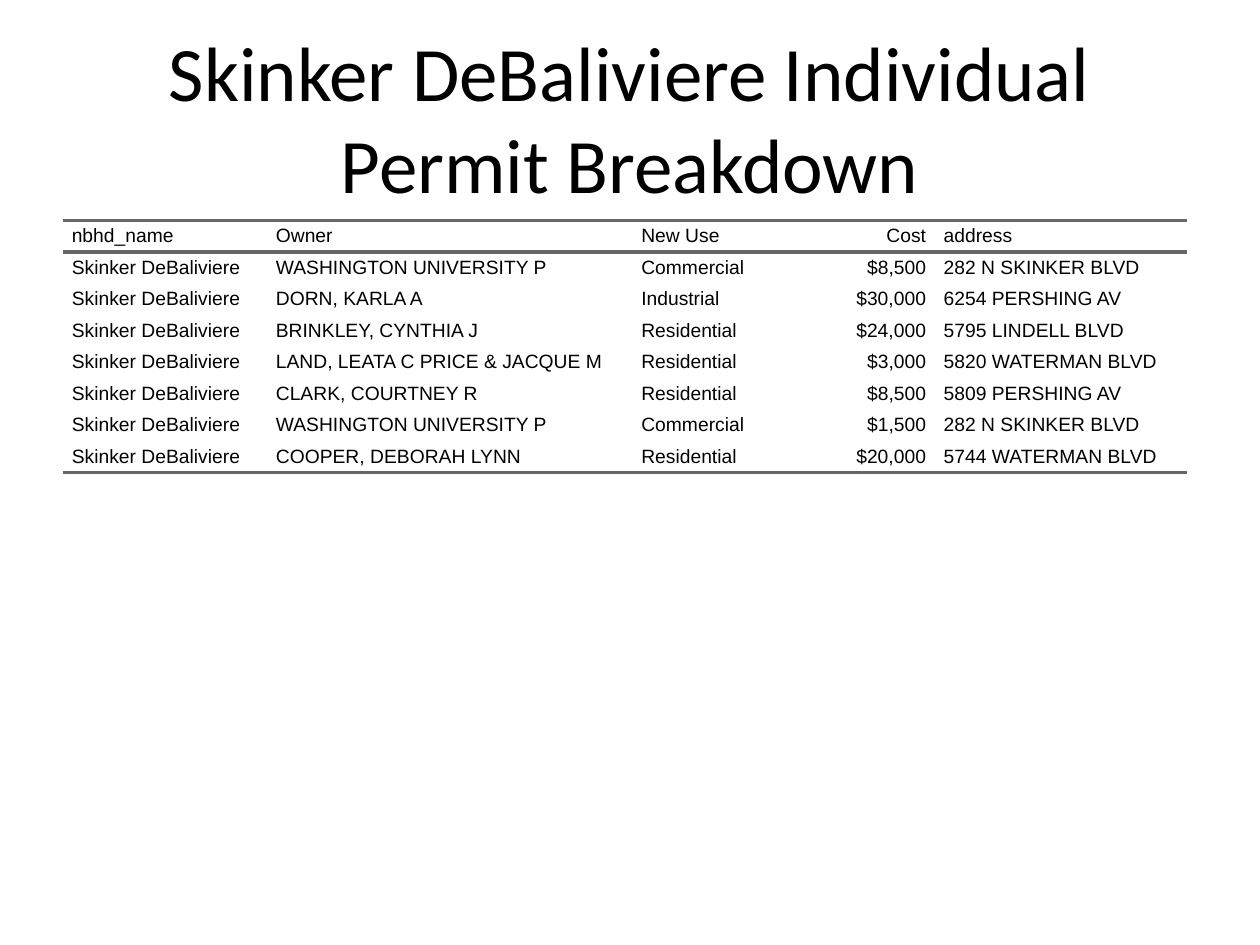
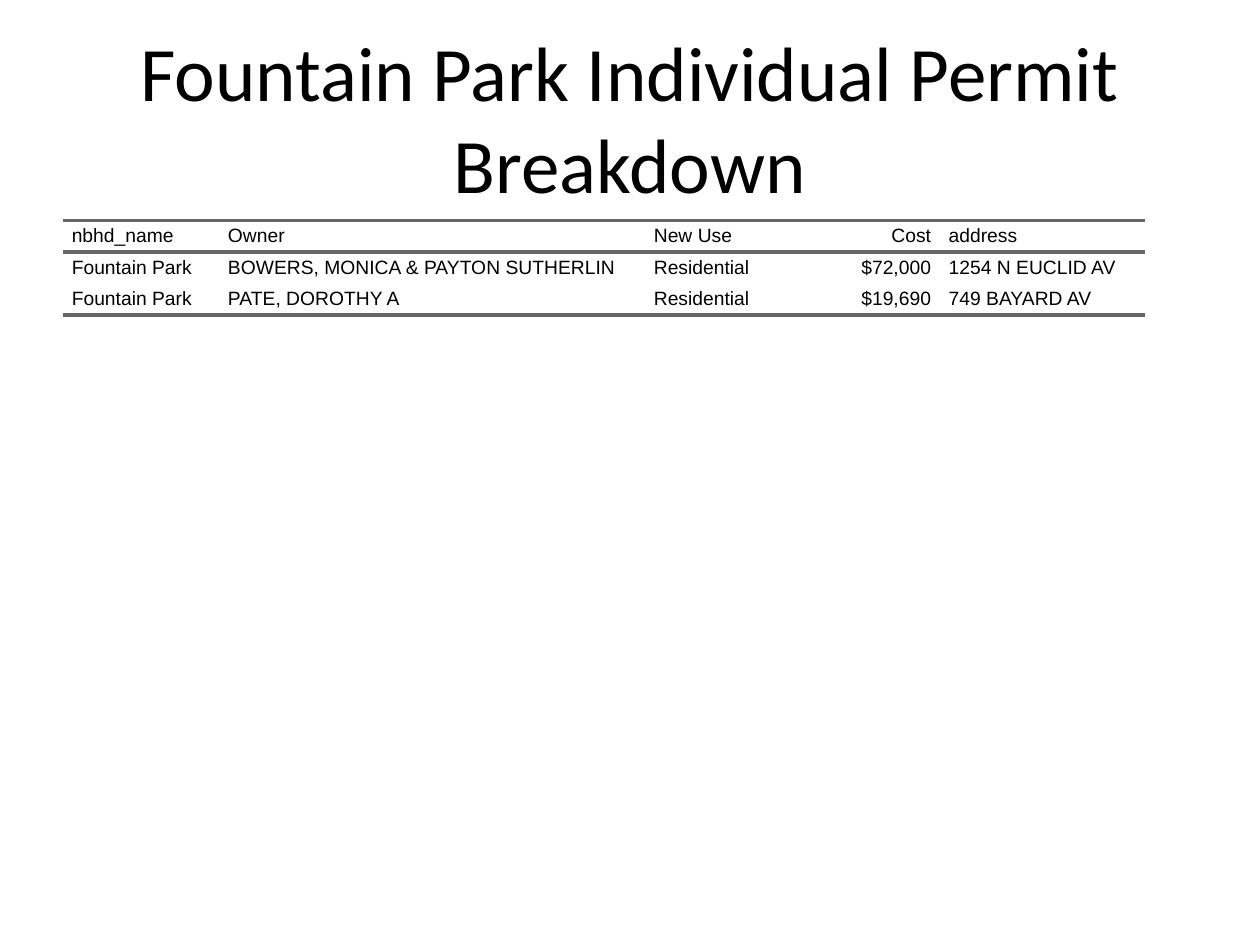
import dataclasses

import pptx
import pptx.dml.color
import pptx.enum.text
import pptx.oxml
import pptx.oxml.ns
import pptx.util

ALIGN = pptx.enum.text.PP_ALIGN
MIDDLE = pptx.enum.text.MSO_ANCHOR.MIDDLE
SLIDE_WIDTH = pptx.util.Inches(10)
SLIDE_HEIGHT = pptx.util.Inches(7.5)


@dataclasses.dataclass(frozen=True)
class Theme:
    ink: str = "000000"
    rule: str = "666666"
    rule_width: int = pptx.util.Pt(2)
    title_font: str = "Calibri"
    title_size: int = pptx.util.Pt(44)
    table_font: str = "Arial"
    table_size: int = pptx.util.Pt(11)
    margin: float = 0.05  # share of the slide's width
    title_top: float = 0.04  # these three are shares of the slide's height
    title_height: float = 1 / 6
    table_top: float = 7 / 30
    row_height: float = 1 / 30


THEME = Theme()
HEADINGS = ("nbhd_name", "Owner", "New Use", "Cost", "address")
COST_COLUMN = HEADINGS.index("Cost")

# Column widths are percentages of the slide's width.
NEIGHBORHOODS = (
    {
        "name": "Skinker DeBaliviere",
        "columns": (16.2, 29, 11, 13, 20),
        "permits": (
            ("WASHINGTON UNIVERSITY P", "Commercial", "$8,500", "282 N SKINKER BLVD"),
            ("DORN, KARLA A", "Industrial", "$30,000", "6254 PERSHING AV"),
            ("BRINKLEY, CYNTHIA J", "Residential", "$24,000", "5795 LINDELL BLVD"),
            ("LAND, LEATA C PRICE & JACQUE M", "Residential", "$3,000", "5820 WATERMAN BLVD"),
            ("CLARK, COURTNEY R", "Residential", "$8,500", "5809 PERSHING AV"),
            ("WASHINGTON UNIVERSITY P", "Commercial", "$1,500", "282 N SKINKER BLVD"),
            ("COOPER, DEBORAH LYNN", "Residential", "$20,000", "5744 WATERMAN BLVD"),
        ),
    },
    {
        "name": "Fountain Park",
        "columns": (12.4, 33.8, 10.4, 13, 16.3),
        "permits": (
            ("BOWERS, MONICA & PAYTON SUTHERLIN", "Residential", "$72,000", "1254 N EUCLID AV"),
            ("PATE, DOROTHY A", "Residential", "$19,690", "749 BAYARD AV"),
        ),
    },
)


def across(share):
    return round(SLIDE_WIDTH * share)


def down(share):
    return round(SLIDE_HEIGHT * share)


def apply_format(target, values):
    for attribute, value in values.items():
        setattr(target, attribute, value)


def write(paragraph, text, font, size, alignment):
    paragraph.text = text
    paragraph.alignment = alignment
    apply_format(paragraph.font, {"name": font, "size": size})
    paragraph.font.color.rgb = pptx.dml.color.RGBColor.from_string(THEME.ink)


def add_title(slide, text):
    title = slide.shapes.add_textbox(
        across(THEME.margin), down(THEME.title_top),
        across(1 - 2 * THEME.margin), down(THEME.title_height))
    frame = title.text_frame
    apply_format(frame, {"word_wrap": True, "vertical_anchor": MIDDLE})
    write(frame.paragraphs[0], text, THEME.title_font, THEME.title_size, ALIGN.CENTER)


def set_borders(cell, ruled_sides):
    """Rule the given sides (L, R, T, B) and clear the others."""
    properties = cell._tc.get_or_add_tcPr()
    for side in "LRTB":
        if side in ruled_sides:
            paint = f'<a:solidFill><a:srgbClr val="{THEME.rule}"/></a:solidFill>'
        else:
            paint = "<a:noFill/>"
        properties.append(pptx.oxml.parse_xml(
            f'<a:ln{side} {pptx.oxml.ns.nsdecls("a")} w="{THEME.rule_width}">'
            f"{paint}</a:ln{side}>"))


def fill_cell(cell, text, alignment, ruled_sides):
    side_margin = pptx.util.Inches(0.07)
    apply_format(cell, {
        "margin_left": side_margin, "margin_right": side_margin,
        "margin_top": 0, "margin_bottom": 0, "vertical_anchor": MIDDLE,
    })
    set_borders(cell, ruled_sides)
    cell.fill.background()
    write(cell.text_frame.paragraphs[0], text, THEME.table_font, THEME.table_size, alignment)


def add_permit_table(slide, neighborhood):
    records = [HEADINGS]
    records += [(neighborhood["name"], *permit) for permit in neighborhood["permits"]]
    widths = [across(percent / 100) for percent in neighborhood["columns"]]
    table = slide.shapes.add_table(
        len(records), len(HEADINGS), across(THEME.margin), down(THEME.table_top),
        sum(widths), down(THEME.row_height) * len(records)).table
    apply_format(table, {"first_row": False, "horz_banding": False})
    for column, width in zip(table.columns, widths):
        column.width = width

    ruled_edges = {0, 1, len(records)}
    for row, record in enumerate(records):
        ruled_sides = ("T" if row in ruled_edges else "") + ("B" if row + 1 in ruled_edges else "")
        for column, text in enumerate(record):
            alignment = ALIGN.RIGHT if column == COST_COLUMN else ALIGN.LEFT
            fill_cell(table.cell(row, column), text, alignment, ruled_sides)


def main():
    deck = pptx.Presentation()
    apply_format(deck, {"slide_width": SLIDE_WIDTH, "slide_height": SLIDE_HEIGHT})
    for neighborhood in NEIGHBORHOODS:
        slide = deck.slides.add_slide(deck.slide_layouts[6])
        add_title(slide, f'{neighborhood["name"]} Individual Permit Breakdown')
        add_permit_table(slide, neighborhood)
    deck.save("out.pptx")


if __name__ == "__main__":
    main()
